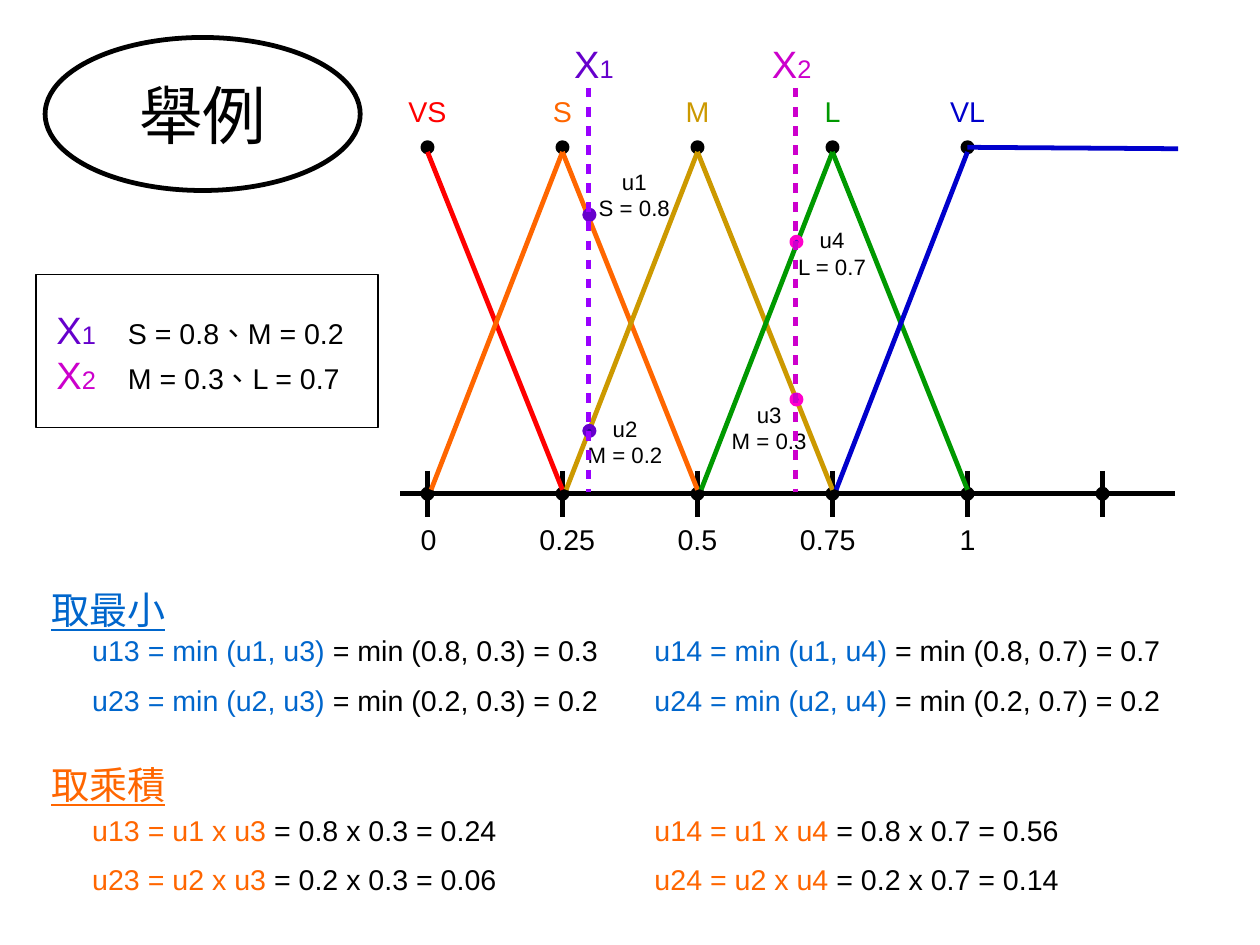
from dataclasses import dataclass

from lxml import etree
from pptx import Presentation
from pptx.dml.color import RGBColor
from pptx.enum import lang, shapes, text
from pptx.oxml import ns
from pptx.util import Pt


@dataclass(frozen=True)
class Theme:
    font: str = "Arial"
    black: str = "000000"
    red: str = "FF0000"
    orange: str = "FF6600"
    gold: str = "CC9900"
    green: str = "009900"
    navy: str = "0000CC"
    blue: str = "0066CC"
    purple: str = "6600CC"
    indigo: str = "330099"
    violet: str = "9900FF"
    magenta: str = "CC00CC"
    pink: str = "FF00CC"
    title: int = 40
    heading: int = 24
    body: int = 18
    index: int = 16
    note: int = 14
    stroke: int = 3


T = Theme()
LEFT, CENTER = text.PP_ALIGN.LEFT, text.PP_ALIGN.CENTER
OVAL, RECT = shapes.MSO_SHAPE.OVAL, shapes.MSO_SHAPE.RECTANGLE

AXIS_X, STEP = 269.3, 85.05
TOP_Y, PEAK_Y, FOOT_Y, AXIS_Y = 92.8, 95.7, 308.5, 311
TICK, DOT = 14.4, 5.8
X1, X2 = 371.3, 501.7

SETS = [("VS", T.red), ("S", T.orange), ("M", T.gold), ("L", T.green), ("VL", T.navy)]
# Tick text and its shift from the tick
TICK_LABELS = [("0", 0.7), ("0.25", 3), ("0.5", 0), ("0.75", -3), ("1", 0)]
# Name, value, label centre, label top, dot x, dot y, dot fill, dot line
GRADES = [
    ("u1", "S = 0.8", 399.6, 102.2, X1, 135.3, T.purple, T.purple),
    ("u2", "M = 0.2", 393.8, 257.8, X1, 271.4, T.indigo, T.purple),
    ("u4", "L = 0.7", 524.2, 139, X2, 152.3, T.purple, T.pink),
    ("u3", "M = 0.3", 484.6, 249.1, X2, 251.6, T.purple, T.pink),
]
# Heading, heading top, first row top, colour, rows of (rule, result) pairs
METHODS = [
    ("取最小", 365.6, 395, T.blue, [
        [("u13 = min (u1, u3)", " = min (0.8, 0.3) = 0.3"),
         ("u14 = min (u1, u4)", " = min (0.8, 0.7) = 0.7")],
        [("u23 = min (u2, u3)", " = min (0.2, 0.3) = 0.2"),
         ("u24 = min (u2, u4)", " = min (0.2, 0.7) = 0.2")]]),
    ("取乘積", 475.8, 508.3, T.orange, [
        [("u13 = u1 x u3", " = 0.8 x 0.3 = 0.24"),
         ("u14 = u1 x u4", " = 0.8 x 0.7 = 0.56")],
        [("u23 = u2 x u3", " = 0.2 x 0.3 = 0.06"),
         ("u24 = u2 x u4", " = 0.2 x 0.7 = 0.14")]]),
]
COLUMNS, ROW_GAP = (51, 405.2), 31.4


def rgb(color):
    return RGBColor.from_string(color)


def write(tf, paragraphs, align, underline=False):
    """Fill the frame; each paragraph is a list of (text, size, colour) runs."""
    for i, runs in enumerate(paragraphs):
        p = tf.add_paragraph() if i else tf.paragraphs[0]
        p.alignment = align
        for words, size, color in runs:
            r = p.add_run()
            r.text = words
            r.font.name = T.font
            r.font.size = Pt(size)
            r.font.color.rgb = rgb(color)
            r.font.language_id = lang.MSO_LANGUAGE_ID.TRADITIONAL_CHINESE
            if underline:
                r.font.underline = True


def label(s, x, y, w, h, paragraphs, align=LEFT, underline=False):
    tf = s.shapes.add_textbox(Pt(x), Pt(y), Pt(w), Pt(h)).text_frame
    tf.word_wrap = True
    write(tf, paragraphs, align, underline)


def centered(s, cx, y, w, h, *paragraphs):
    label(s, cx - w / 2, y, w, h, paragraphs, CENTER)


def variable(s, cx, y, index, color):
    runs = [("X", T.heading, color), (index, T.index, color)]
    centered(s, cx, y, 51, 34, runs)


def outline(s, kind, x, y, w, h, line=T.black, fill=None, width=T.stroke):
    sp = s.shapes.add_shape(kind, Pt(x), Pt(y), Pt(w), Pt(h))
    sp.shadow.inherit = False
    if fill:
        sp.fill.solid()
        sp.fill.fore_color.rgb = rgb(fill)
    else:
        sp.fill.background()
    sp.line.color.rgb = rgb(line)
    sp.line.width = Pt(width)
    return sp


def dot(s, cx, cy, fill=T.black, line=T.black):
    outline(s, OVAL, cx - DOT / 2, cy - DOT / 2, DOT, DOT, line, fill)


def segment(s, x1, y1, x2, y2, color=T.black, dashed=False):
    c = s.shapes.add_connector(shapes.MSO_CONNECTOR.STRAIGHT, Pt(x1), Pt(y1), Pt(x2), Pt(y2))
    c.line.color.rgb = rgb(color)
    c.line.width = Pt(T.stroke)
    if dashed:
        dash = etree.SubElement(c.line._get_or_add_ln(), ns.qn("a:custDash"))
        etree.SubElement(dash, ns.qn("a:ds"), d="200000", sp="200000")
    etree.SubElement(c._element.spPr, ns.qn("a:effectLst"))


def draw_axis(s):
    segment(s, 252, AXIS_Y, 740, AXIS_Y)
    for i in range(6):
        x = AXIS_X + i * STEP
        segment(s, x, AXIS_Y - TICK, x, AXIS_Y + TICK)
        dot(s, x, AXIS_Y)
    for i, (words, shift) in enumerate(TICK_LABELS):
        centered(s, AXIS_X + i * STEP + shift, 325.3, 51, 27, [(words, T.body, T.black)])


def draw_sets(s):
    for i, (name, color) in enumerate(SETS):
        x = AXIS_X + i * STEP
        centered(s, x, 55.9, 45.4, 27, [(name, T.body, color)])
        dot(s, x, TOP_Y)
        if i < len(SETS) - 1:
            segment(s, x, PEAK_Y, x + STEP, FOOT_Y, color)
        else:
            segment(s, x, TOP_Y, 742.2, TOP_Y + 0.9, color)
        if i:
            segment(s, x, PEAK_Y, x - STEP + 2.3, FOOT_Y, color)


def draw_inputs(s):
    for name, value, cx, y, dot_x, dot_y, fill, line in GRADES:
        dot(s, dot_x, dot_y, fill, line)
        centered(s, cx, y, 67.7, 39, [(name, T.note, T.black)], [(value, T.note, T.black)])
    variable(s, 374.1, 21.8, "1", T.purple)
    variable(s, 498.7, 22, "2", T.magenta)
    segment(s, X1 - 0.5, 55.4, X1 - 0.5, 310, T.violet, dashed=True)
    segment(s, X2 - 0.5, 55.4, X2 - 0.5, 310, T.magenta, dashed=True)


def draw_summary(s):
    outline(s, RECT, 22.7, 172.8, 215.5, 96.4, width=1)
    rows = [("1", T.purple, "S = 0.8、M = 0.2"), ("2", T.magenta, "M = 0.3、L = 0.7")]
    for i, (index, color, grades) in enumerate(rows):
        y = 189.4 + i * 28.3
        variable(s, 48, y, index, color)
        label(s, 73.5, y + 6, 167, 27, [[(grades, T.body, T.black)]])


def draw_methods(s):
    for heading, heading_y, first_y, color, rows in METHODS:
        label(s, 25.2, heading_y, 119, 42, [[(heading, T.heading, color)]], underline=True)
        for i, row in enumerate(rows):
            for x, (rule, result) in zip(COLUMNS, row):
                runs = [(rule, T.body, color), (result, T.body, T.black)]
                label(s, x, first_y + i * ROW_GAP, 350, 27, [runs])


def main():
    prs = Presentation()
    prs.slide_width, prs.slide_height = Pt(793.75), Pt(595.25)
    s = prs.slides.add_slide(prs.slide_layouts[6])
    title = outline(s, OVAL, 28.4, 23.6, 198.5, 96.4)
    title.text_frame.word_wrap = False
    title.text_frame.vertical_anchor = text.MSO_ANCHOR.MIDDLE
    write(title.text_frame, [[("舉例", T.title, T.black)]], CENTER)
    draw_axis(s)
    draw_sets(s)
    draw_inputs(s)
    draw_summary(s)
    draw_methods(s)
    prs.save("out.pptx")


if __name__ == "__main__":
    main()
